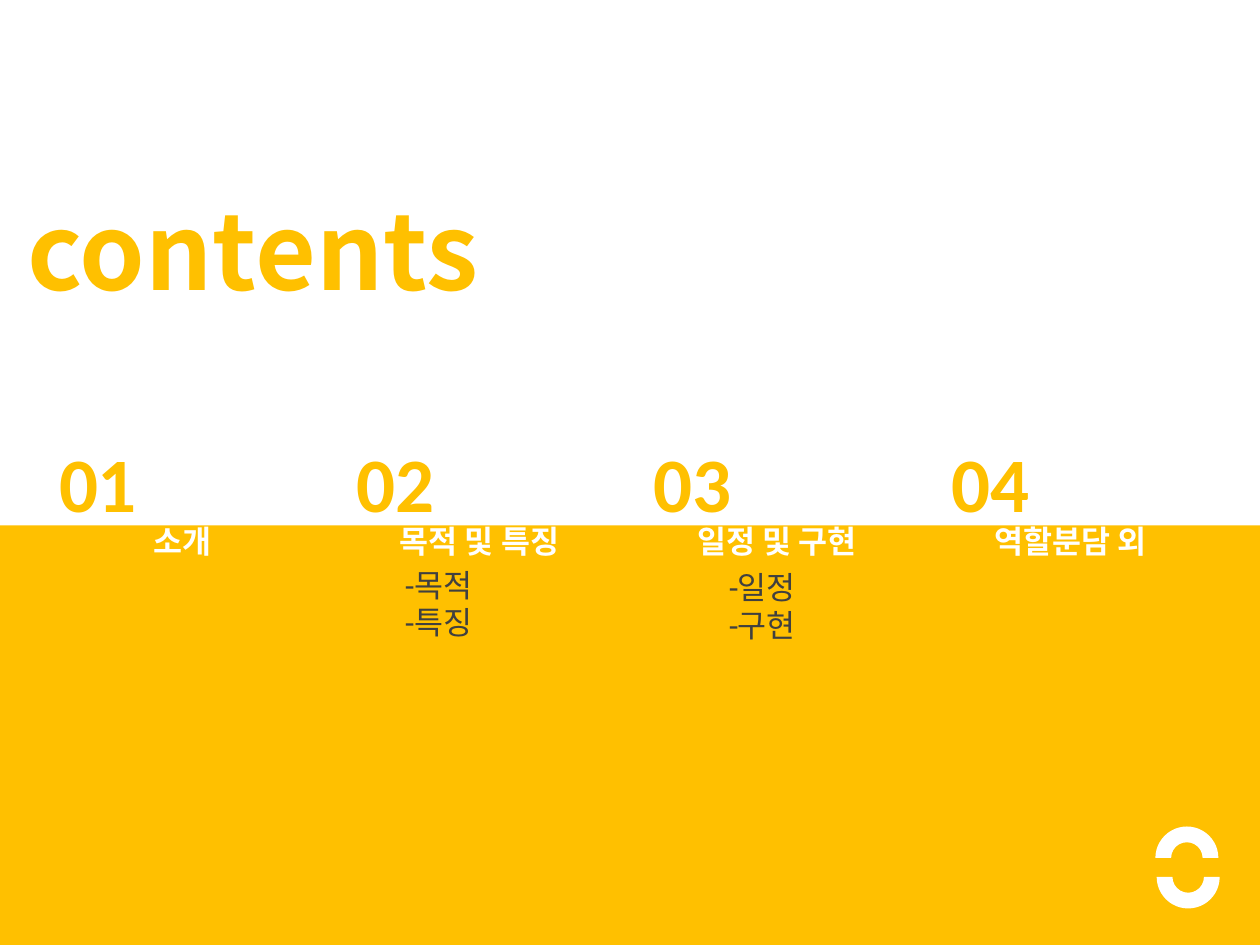
from lxml import etree
from pptx import Presentation
from pptx.dml.color import RGBColor
from pptx.enum import shapes, text
from pptx.oxml.ns import qn
from pptx.util import Inches, Pt

COLORS = {"amber": "FFC000", "white": "FFFFFF", "gray": "404040"}
KOREAN = "Noto Sans CJK KR"
SECTIONS = [
    ("소개", [], 0),
    ("목적 및 특징", ["-목적", "-특징"], (3.12, 4.44)),
    ("일정 및 구현", ["-일정", "-구현"], (5.69, 4.46)),
    ("역할분담 외 ", [], 0),
]
COLUMN_STEP = 2.36


def rgb(name):
    """Return the named palette colour."""
    return RGBColor.from_string(COLORS[name])


def write(sp, lines, size, font, color, bold=True, align=text.PP_ALIGN.LEFT):
    """Fill a text shape with uniformly formatted paragraphs."""
    tf = sp.text_frame
    tf.word_wrap = True
    tf.auto_size = text.MSO_AUTO_SIZE.NONE
    tf.vertical_anchor = text.MSO_ANCHOR.TOP
    tf.text = "\n".join(lines)
    for p in tf.paragraphs:
        p.alignment = align
        p.font.size, p.font.bold, p.font.name = Pt(size), bold, font
        p.font.color.rgb = rgb(color)
        latin = p._p.pPr.find(qn("a:defRPr")).find(qn("a:latin"))
        ea = etree.Element(qn("a:ea"), typeface=font)
        latin.addnext(ea)
        for r in p.runs:
            r.font.size, r.font.bold, r.font.name = Pt(size), bold, font
            r.font.color.rgb = rgb(color)
            r._r.rPr.find(qn("a:latin")).addnext(
                etree.Element(qn("a:ea"), typeface=font))
    return tf


def add_text(slide, box, lines, *style, **options):
    """Add a formatted text box."""
    sp = slide.shapes.add_textbox(*map(Inches, box))
    return write(sp, lines, *style, **options)


def add_filled(slide, kind, box, color, rotation=0):
    """Add a preset shape with a plain fill and no outline."""
    sp = slide.shapes.add_shape(kind, *map(Inches, box))
    sp.shadow.inherit = False
    sp.fill.solid()
    sp.fill.fore_color.rgb = rgb(color)
    sp.line.fill.background()
    sp.rotation = rotation


def add_title(slide, box, title):
    """Place and format the slide title."""
    sp = slide.shapes.title
    sp.left, sp.top, sp.width, sp.height = map(Inches, box)
    write(sp, [title], 60, KOREAN, "amber")


def add_section(slide, index, label, items, items_at):
    """Add one numbered section with its label and optional items."""
    offset = index * COLUMN_STEP
    tf = add_text(slide, (0.45 + offset, 4.13, 1.99, 0.37), [label], 18,
                  KOREAN, "white", align=text.PP_ALIGN.CENTER)
    tf.paragraphs[0].line_spacing = 0.9
    tf.paragraphs[0].space_after = Pt(10)
    add_text(slide, (0.37 + offset, 3.41, 1.45, 0.84), [f"{index + 1:02}"],
             44, "Calibri", "amber")
    if items:
        add_text(slide, (*items_at, 1.36, 0.71), items, 18, "Roboto", "gray",
                 bold=False)


def main():
    """Build the contents slide."""
    prs = Presentation()
    prs.slide_width, prs.slide_height = Inches(10), Inches(7.5)
    slide = prs.slides.add_slide(prs.slide_layouts[5])
    add_filled(slide, shapes.MSO_SHAPE.RECTANGLE, (0, 4.17, 10, 3.33), "amber")
    add_title(slide, (0.12, 1.42, 5.35, 1.3), "contents")
    for index, section in enumerate(SECTIONS):
        add_section(slide, index, *section)
    for left, top, rotation in ((9.17, 6.56, 0), (9.18, 6.71, 180)):
        add_filled(slide, shapes.MSO_SHAPE.BLOCK_ARC, (left, top, 0.5, 0.5),
                   "white", rotation)
    prs.save("out.pptx")


main()
